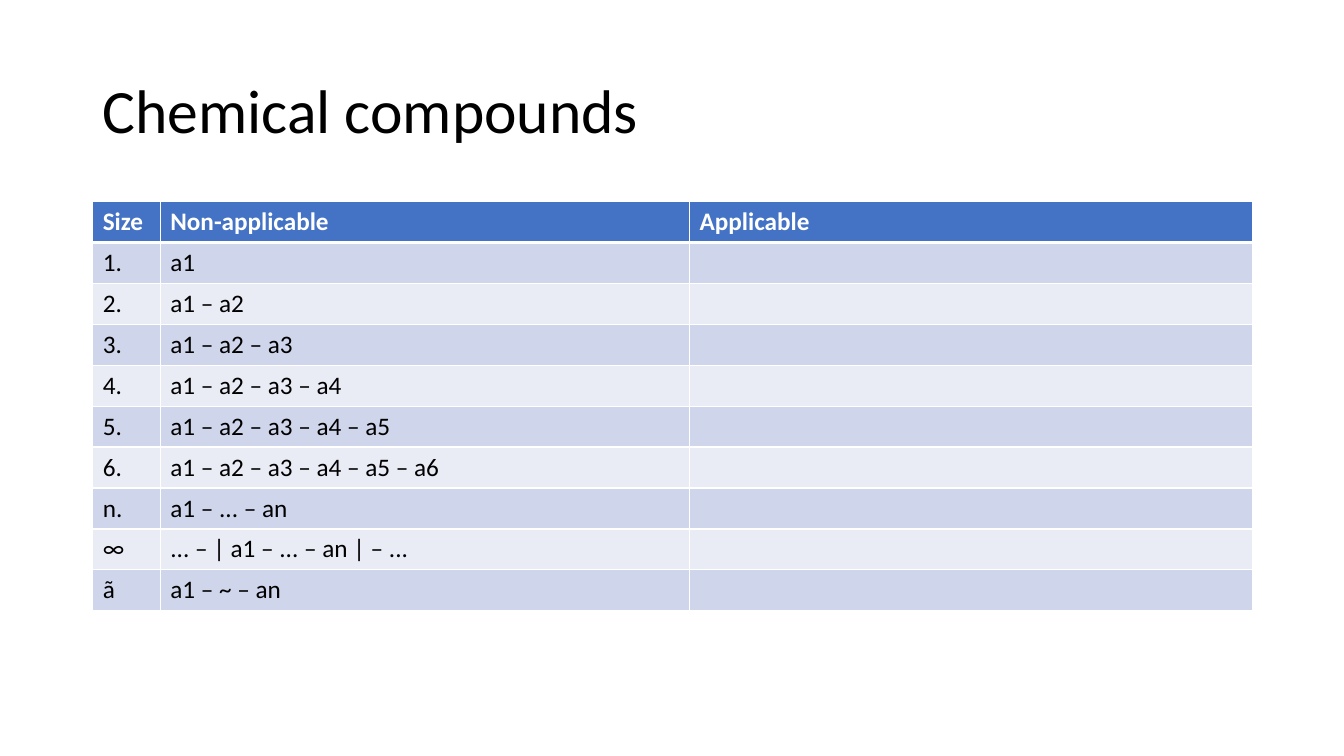
from dataclasses import dataclass

from lxml import etree
from pptx import Presentation
from pptx import util as u
from pptx.dml.color import RGBColor
from pptx.enum import text
from pptx.oxml.ns import qn


@dataclass(frozen=True)
class Theme:
    font: str = "Calibri"
    title_size: int = 44
    body_size: int = 18
    ink: str = "000000"
    white: str = "FFFFFF"
    header: str = "4472C4"
    bands: tuple = ("CFD5EA", "E9EBF5")


THEME = Theme()
LEFT, WIDTH = 0.92, 11.5
COLUMN_WIDTHS = (0.67, 5.25, 5.58)
TABLE_TOP, TABLE_HEIGHT = 2, 4.06


def chain(n):
    return " – ".join(f"a{i}" for i in range(1, n + 1))


HEADINGS = ("Size", "Non-applicable", "Applicable")
COMPOUNDS = [(f"{n}.", chain(n), "") for n in range(1, 7)] + [
    ("n.", "a1 – ... – an", ""),
    ("∞", "... – | a1 – ... – an | – ...", ""),
    ("ã", "a1 – ~ – an", ""),
]


def write(tf, words, size, color, bold=False):
    p = tf.paragraphs[0]
    p.text = words
    p.font.name = THEME.font
    p.font.size = u.Pt(size)
    p.font.bold = bold
    p.font.color.rgb = RGBColor.from_string(color)
    return p


def add_title(s, words):
    sp = s.shapes.add_textbox(u.Inches(LEFT), u.Inches(0.4), u.Inches(WIDTH), u.Inches(1.45))
    tf = sp.text_frame
    tf.word_wrap = True
    tf.vertical_anchor = text.MSO_ANCHOR.MIDDLE
    p = write(tf, words, THEME.title_size, THEME.ink)
    p.line_spacing = 0.9


def set_borders(cell, top, bottom):
    tc_pr = cell._tc.get_or_add_tcPr()
    widths = {"lnL": 1, "lnR": 1, "lnT": top, "lnB": bottom}
    for i, (side, width) in enumerate(widths.items()):
        ln = etree.Element(qn(f"a:{side}"), w=str(u.Pt(width)))
        fill = etree.SubElement(ln, qn("a:solidFill"))
        etree.SubElement(fill, qn("a:srgbClr"), val=THEME.white)
        tc_pr.insert(i, ln)


def add_table(s, rows):
    table = s.shapes.add_table(
        len(rows), len(COLUMN_WIDTHS), u.Inches(LEFT), u.Inches(TABLE_TOP),
        u.Inches(WIDTH), u.Inches(TABLE_HEIGHT),
    ).table
    for column, width in zip(table.columns, COLUMN_WIDTHS):
        column.width = u.Inches(width)
    for r, row in enumerate(rows):
        is_header = r == 0
        fill = THEME.header if is_header else THEME.bands[(r - 1) % 2]
        color = THEME.white if is_header else THEME.ink
        for c, words in enumerate(row):
            cell = table.cell(r, c)
            cell.fill.solid()
            cell.fill.fore_color.rgb = RGBColor.from_string(fill)
            write(cell.text_frame, words, THEME.body_size, color, is_header)
            set_borders(cell, 3 if r == 1 else 1, 3 if is_header else 1)


def main():
    prs = Presentation()
    prs.slide_width, prs.slide_height = u.Inches(13.33), u.Inches(7.5)
    s = prs.slides.add_slide(prs.slide_layouts[6])
    add_title(s, "Chemical compounds")
    add_table(s, [HEADINGS, *COMPOUNDS])
    prs.save("out.pptx")


main()
